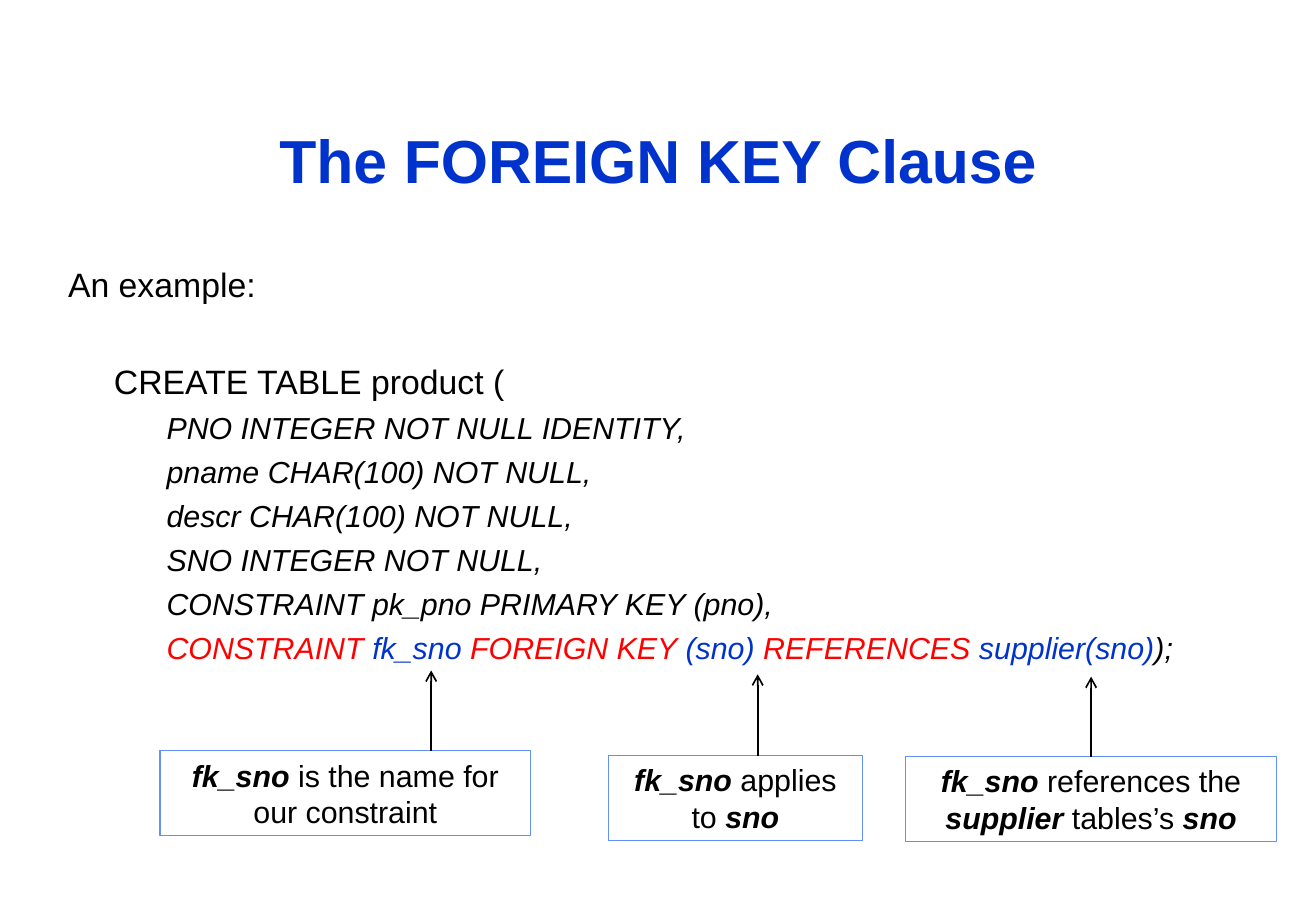
from lxml import etree
from pptx import Presentation
from pptx import util as u
from pptx.dml.color import RGBColor
from pptx.enum import shapes, text
from pptx.oxml.ns import qn

BLACK, BLUE, RED, BORDER = "000000", "0033CC", "FF0000", "618FFD"


def color(hex_string):
    return RGBColor.from_string(hex_string)


def add_run(paragraph, words, size, hex_string=BLACK, bold=False, italic=False):
    run = paragraph.add_run()
    run.text = words
    run.font.name = "Arial"
    run.font.size = u.Pt(size)
    run.font.bold = bold
    run.font.italic = italic
    run.font.color.rgb = color(hex_string)


presentation = Presentation()
presentation.slide_width = u.Cm(27.53)
presentation.slide_height = u.Cm(19.05)
slide = presentation.slides.add_slide(presentation.slide_layouts[1])

# Title
title = slide.shapes.title
title.left, title.top, title.width, title.height = u.Cm(1.73), u.Cm(0.84), u.Cm(24.08), u.Cm(3.38)
title.text_frame.auto_size = text.MSO_AUTO_SIZE.NONE
title.text_frame.vertical_anchor = text.MSO_ANCHOR.BOTTOM
title_paragraph = title.text_frame.paragraphs[0]
title_paragraph.alignment = text.PP_ALIGN.CENTER
add_run(title_paragraph, "The FOREIGN KEY Clause", 36, BLUE, bold=True)

# SQL example: level, left margin in cm, space before, size, coloured parts
heading, statement, column = (0, 0, 0, 20), (0, 0.96, 34, 20), (1, 2.06, 4.5, 18)
example_lines = [
    (heading, [("An example:", BLACK)]),
    (statement, [("CREATE TABLE product (", BLACK)]),
    (column, [("PNO INTEGER NOT NULL IDENTITY,", BLACK)]),
    (column, [("pname CHAR(100) NOT NULL,", BLACK)]),
    (column, [("descr CHAR(100) NOT NULL,", BLACK)]),
    (column, [("SNO INTEGER NOT NULL,", BLACK)]),
    (column, [("CONSTRAINT pk_pno PRIMARY KEY (pno),", BLACK)]),
    (column, [("CONSTRAINT", RED), (" fk_sno ", BLUE), ("FOREIGN KEY ", RED), ("(sno) ", BLUE),
              ("REFERENCES", RED), (" supplier(sno)", BLUE), (");", BLACK)]),
]
body = slide.placeholders[1]
body.left, body.top, body.width, body.height = u.Cm(1.17), u.Cm(5.38), u.Cm(24.08), u.Cm(11.33)
body.text_frame.auto_size = text.MSO_AUTO_SIZE.NONE
for index, ((level, margin, space, size), parts) in enumerate(example_lines):
    paragraph = body.text_frame.add_paragraph() if index else body.text_frame.paragraphs[0]
    paragraph.level = level
    paragraph.space_before = u.Pt(space)
    properties = paragraph._p.get_or_add_pPr()
    properties.set("marL", str(u.Cm(margin)))
    properties.set("indent", "0")
    etree.SubElement(properties, qn("a:buNone"))
    for words, hex_string in parts:
        add_run(paragraph, words, size, hex_string, italic=level == 1)

# Callouts: left, top, width, arrow x, arrow tip y (cm), parts with emphasis
callouts = [
    (3.35, 15.7, 7.75, 9.02, 14.02,
     [("fk_sno", True), (" is the name for our constraint", False)]),
    (12.73, 15.8, 5.31, 15.85, 14.1,
     [("fk_sno", True), (" applies to ", False), ("sno", True)]),
    (18.95, 15.82, 7.75, 22.82, 14.15,
     [("fk_sno", True), (" references the ", False), ("supplier", True),
      (" tables’s ", False), ("sno", True)]),
]
for left, top, width, arrow_x, tip_y, parts in callouts:
    box = slide.shapes.add_shape(shapes.MSO_SHAPE.RECTANGLE,
                                 u.Cm(left), u.Cm(top), u.Cm(width), u.Cm(1.78))
    box.shadow.inherit = False
    box.fill.background()
    box.line.color.rgb = color(BORDER)
    box.line.width = u.Pt(0.75)
    box.text_frame.word_wrap = True
    box.text_frame.vertical_anchor = text.MSO_ANCHOR.TOP
    paragraph = box.text_frame.paragraphs[0]
    paragraph.alignment = text.PP_ALIGN.CENTER
    for words, emphasis in parts:
        add_run(paragraph, words, 18, bold=emphasis, italic=emphasis)

    arrow = slide.shapes.add_connector(shapes.MSO_CONNECTOR.STRAIGHT,
                                       u.Cm(arrow_x), u.Cm(top), u.Cm(arrow_x), u.Cm(tip_y))
    if abs(arrow_x - left - width / 2) < 0.02:
        arrow.begin_connect(box, 0)
        arrow.end_x = arrow.begin_x
    arrow.line.color.rgb = color(BLACK)
    arrow.line.width = u.Pt(1)
    etree.SubElement(arrow.line._get_or_add_ln(), qn("a:tailEnd"), type="arrow")
    etree.SubElement(arrow._element.spPr, qn("a:effectLst"))

presentation.save("out.pptx")
